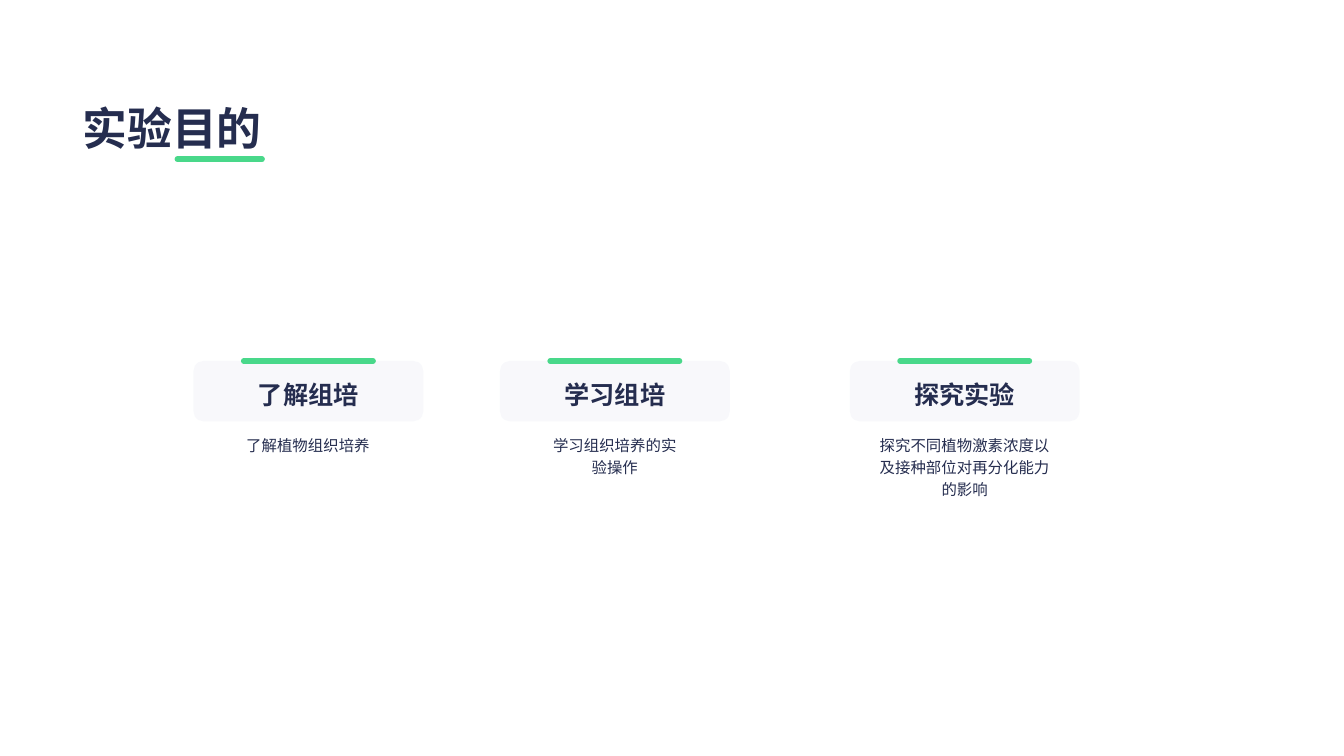
from dataclasses import dataclass

from lxml.etree import SubElement
from pptx import Presentation
from pptx.dml.color import RGBColor
from pptx.enum.shapes import MSO_CONNECTOR, MSO_SHAPE
from pptx.enum.text import MSO_ANCHOR as Anchor, MSO_AUTO_SIZE as AutoSize, PP_ALIGN as Align
from pptx.oxml.ns import qn
from pptx.util import Pt


@dataclass(frozen=True)
class Theme:
    font: str = "Arial"
    ink: RGBColor = RGBColor(0x25, 0x2D, 0x4F)
    green: RGBColor = RGBColor(0x49, 0xD8, 0x8A)
    panel: RGBColor = RGBColor(0x79, 0x86, 0xC0)
    panel_opacity: int = 5
    title_size: int = 32
    heading_size: int = 18
    body_size: int = 11
    bar_weight: int = 4
    line_spacing: float = 1.2


THEME = Theme()
CARD_TOP, CARD_WIDTH, CARD_HEIGHT = 257.8, 164.2, 43.2
BAR_WIDTH = 92.4
BODY_TOP = 305.3

# left edge, heading, body, body width, body height, body alignment
CARDS = [
    (138.2, "了解组培", "了解植物组织培养", 103, 21.6, Align.JUSTIFY),
    (357.1, "学习组培", "学习组织培养的实验操作", 103, 37.4, Align.CENTER),
    (607, "探究实验", "探究不同植物激素浓度以及接种部位对再分化能力的影响", 141.8, 54, Align.CENTER),
]


def write(shape, text, size, bold=False, align=Align.LEFT, **frame_format):
    frame = shape.text_frame
    for name, value in {"word_wrap": True, **frame_format}.items():
        setattr(frame, name, value)
    paragraph = frame.paragraphs[0]
    paragraph.alignment = align
    paragraph.line_spacing = THEME.line_spacing
    run = paragraph.add_run()
    run.text = text
    for name, value in {"name": THEME.font, "size": Pt(size), "bold": bold}.items():
        setattr(run.font, name, value)
    run.font.color.rgb = THEME.ink


def add_bar(shapes, left, top, width):
    """Draw a horizontal green rule with round ends."""
    bar = shapes.add_connector(
        MSO_CONNECTOR.STRAIGHT, Pt(left), Pt(top), Pt(left + width), Pt(top))
    bar.line.color.rgb = THEME.green
    bar.line.width = Pt(THEME.bar_weight)
    bar.line._get_or_add_ln().set("cap", "rnd")
    SubElement(bar._element.spPr, qn("a:effectLst"))


def add_panel(shapes, left, heading):
    panel = shapes.add_shape(
        MSO_SHAPE.ROUNDED_RECTANGLE, Pt(left), Pt(CARD_TOP), Pt(CARD_WIDTH), Pt(CARD_HEIGHT))
    panel.shadow.inherit = False
    panel.line.fill.background()
    panel.fill.solid()
    panel.fill.fore_color.rgb = THEME.panel
    color = panel._element.spPr.find(qn("a:solidFill"))[0]
    SubElement(color, qn("a:alpha"), val=str(THEME.panel_opacity * 1000))
    write(panel, heading, THEME.heading_size, bold=True, align=Align.CENTER,
          vertical_anchor=Anchor.MIDDLE)


def add_card(slide, left, heading, body, body_width, body_height, body_align):
    shapes = slide.shapes.add_group_shape().shapes
    center = left + CARD_WIDTH / 2
    add_panel(shapes, left, heading)
    body_box = shapes.add_textbox(
        Pt(center - body_width / 2), Pt(BODY_TOP), Pt(body_width), Pt(body_height))
    write(body_box, body, THEME.body_size, align=body_align,
          auto_size=AutoSize.SHAPE_TO_FIT_TEXT)
    add_bar(shapes, center - BAR_WIDTH / 2, CARD_TOP, BAR_WIDTH)


def add_title(slide, text):
    title = slide.shapes.title
    box = {"left": 51.8, "top": 0, "width": 855.4, "height": 113.8}
    for name, value in box.items():
        setattr(title, name, Pt(value))
    write(title, text, THEME.title_size, bold=True,
          vertical_anchor=Anchor.BOTTOM, auto_size=AutoSize.NONE)
    add_bar(slide.shapes, 126.7, 113.8, 60.5)


def main():
    presentation = Presentation()
    presentation.slide_width, presentation.slide_height = Pt(960), Pt(540)
    slide = presentation.slides.add_slide(presentation.slide_layouts.get_by_name("Title Only"))
    add_title(slide, "实验目的")
    for card in CARDS:
        add_card(slide, *card)
    presentation.save("out.pptx")


if __name__ == "__main__":
    main()
